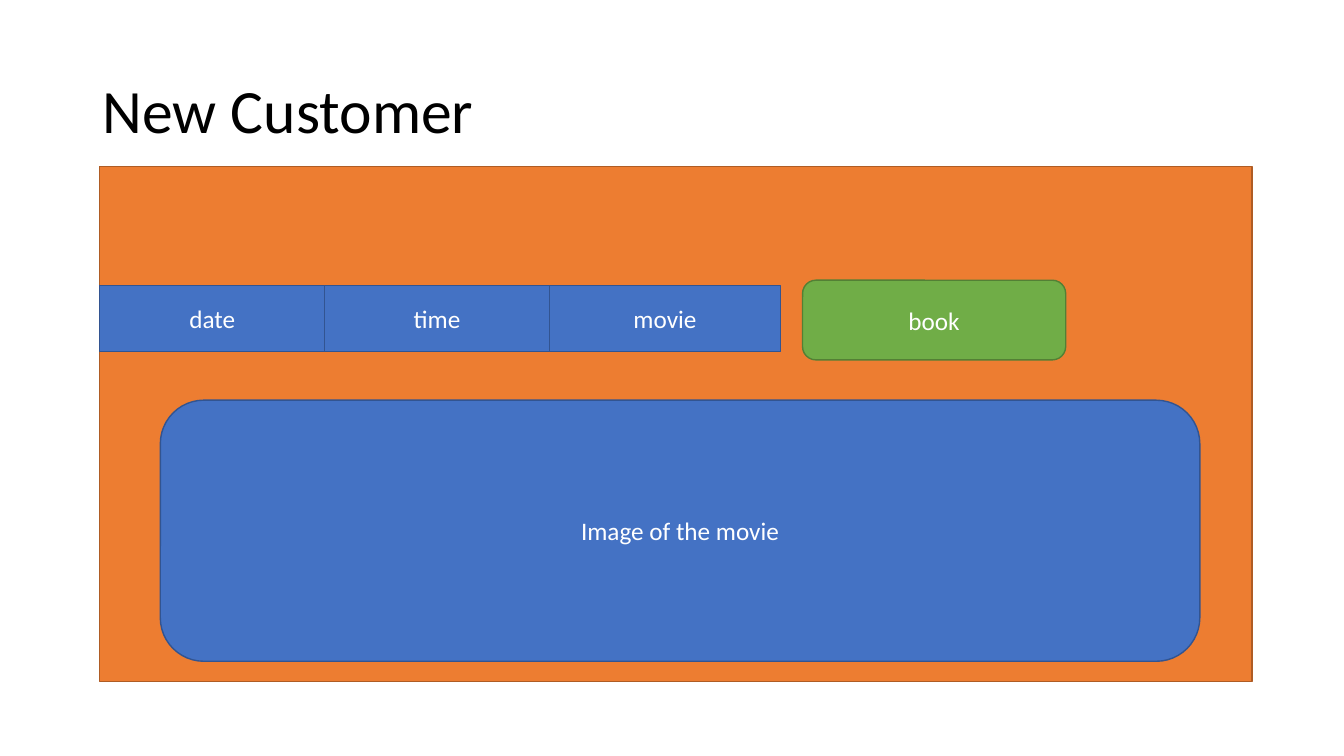
from pptx import Presentation
from pptx.dml.color import RGBColor
from pptx.enum.shapes import MSO_SHAPE
from pptx.enum.text import MSO_ANCHOR, PP_ALIGN
from pptx.util import Inches, Pt

RECT, ROUNDED = MSO_SHAPE.RECTANGLE, MSO_SHAPE.ROUNDED_RECTANGLE
MIDDLE = MSO_ANCHOR.MIDDLE
LEFT, CENTER = PP_ALIGN.LEFT, PP_ALIGN.CENTER
FONT = "Calibri"
TITLE_ONLY = 5

COLORS = {
    "black": "000000", "white": "FFFFFF",
    "orange": "ED7D31", "orange_line": "AF5C24",
    "blue": "4472C4", "blue_line": "325491",
    "green": "70AD47", "green_line": "538035",
}


def rgb(name):
    """Return the named colour."""
    return RGBColor.from_string(COLORS[name])


def set_text(shape, text, size, color, align):
    """Write one vertically centred paragraph into a shape."""
    tf = shape.text_frame
    tf.word_wrap = True
    tf.vertical_anchor = MIDDLE
    p = tf.paragraphs[0]
    p.text = text
    p.alignment = align
    p.font.name, p.font.size = FONT, Pt(size)
    p.font.color.rgb = rgb(color)
    return p


def add_box(slide, kind, box, color, text=None):
    """Add a filled, outlined shape with an optional label."""
    sp = slide.shapes.add_shape(kind, *(Inches(v) for v in box))
    sp.shadow.inherit = False
    sp.fill.solid()
    sp.fill.fore_color.rgb = rgb(color)
    sp.line.color.rgb = rgb(color + "_line")
    sp.line.width = Pt(1)
    if text:
        set_text(sp, text, 18, "white", CENTER)


def add_title(slide, box, text):
    """Place and format the title placeholder."""
    title = slide.shapes.title
    title.left, title.top, title.width, title.height = (Inches(v) for v in box)
    set_text(title, text, 44, "black", LEFT).line_spacing = 0.9


def add_filters(slide, box):
    """Add the adjoining date, time and movie fields; the last is widest."""
    left, top, width, height = box
    step = 2.23
    labels = ["date", "time", "movie"]
    for i, label in enumerate(labels):
        x = i * step
        field_width = width - x if label == labels[-1] else step
        add_box(slide, RECT, (left + x, top, field_width, height), "blue", label)


def add_booking_panel(slide, box):
    """Add the booking panel with its fields, movie image and button."""
    left, top, _, _ = box
    add_box(slide, RECT, box, "orange")
    add_filters(slide, (left, top + 1.18, 6.75, 0.66))
    add_box(slide, ROUNDED, (left + 0.6, top + 2.32, 10.31, 2.59), "blue",
            "Image of the movie")
    add_box(slide, ROUNDED, (left + 6.97, top + 1.13, 2.61, 0.79), "green", "book")


prs = Presentation()
prs.slide_width, prs.slide_height = Inches(13.33), Inches(7.5)
s = prs.slides.add_slide(prs.slide_layouts[TITLE_ONLY])
add_title(s, (0.92, 0.4, 11.5, 1.45), "New Customer")
add_booking_panel(s, (0.99, 1.65, 11.43, 5.11))
prs.save("out.pptx")
